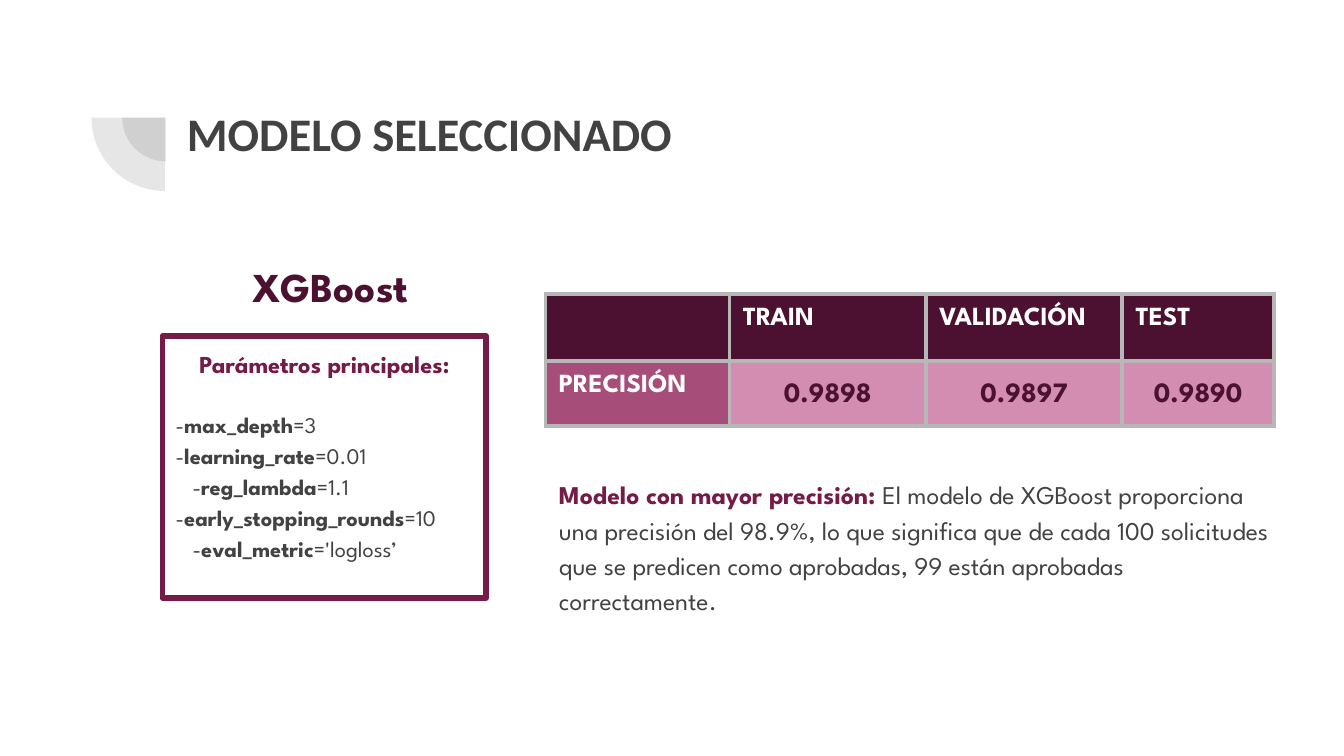
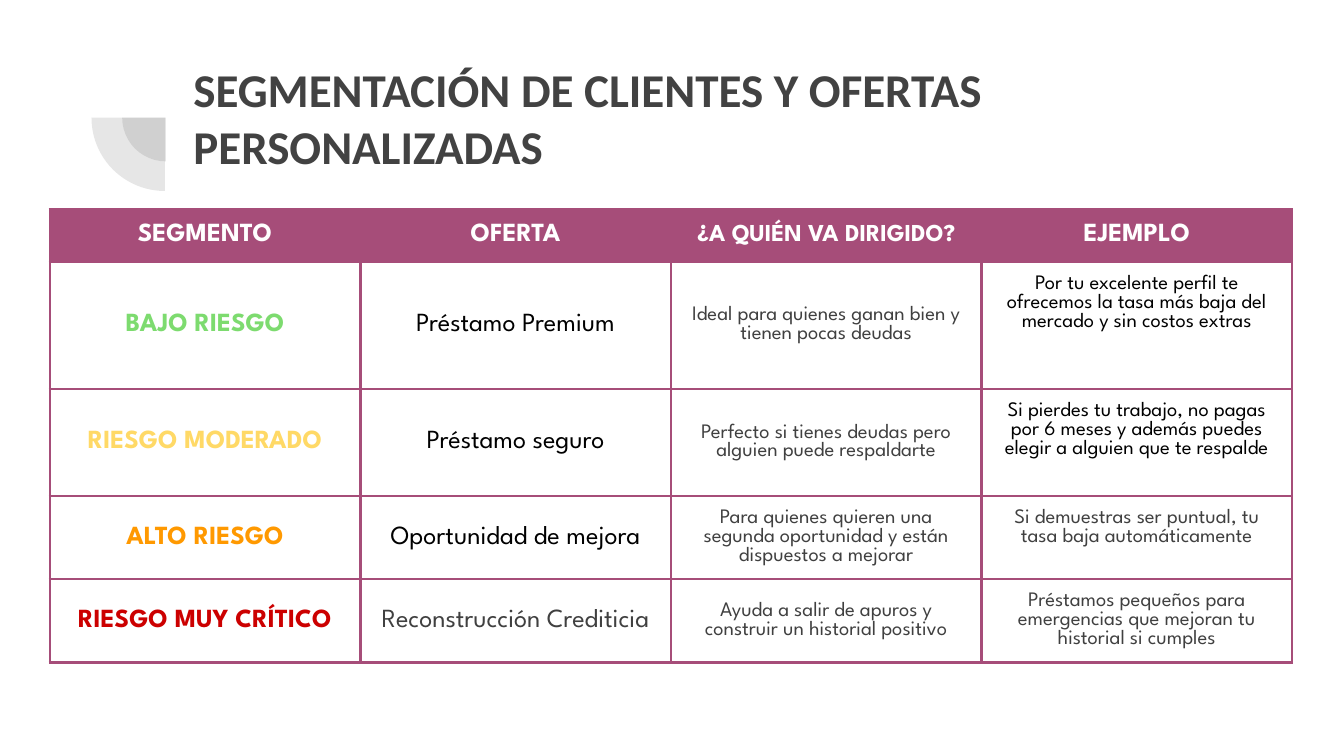
from lxml import etree
from pptx import Presentation
from pptx.dml.color import RGBColor
from pptx.enum.shapes import MSO_SHAPE
from pptx.enum.text import MSO_ANCHOR, MSO_AUTO_SIZE, PP_ALIGN
from pptx.oxml import parse_xml
from pptx.oxml.ns import nsdecls, qn
from pptx.util import Cm, Pt

PIE, RECT = MSO_SHAPE.PIE, MSO_SHAPE.RECTANGLE
TOP, MID = MSO_ANCHOR.TOP, MSO_ANCHOR.MIDDLE
LEFT, CENTER = PP_ALIGN.LEFT, PP_ALIGN.CENTER
FIXED = MSO_AUTO_SIZE.NONE

GRAY = RGBColor(0x42, 0x42, 0x42)
SOFT = RGBColor(0x40, 0x40, 0x40)
BLACK = RGBColor(0, 0, 0)
WHITE = RGBColor(255, 255, 255)
WINE = RGBColor(0x4C, 0x11, 0x30)
PLUM = RGBColor(0x74, 0x1B, 0x47)
MAUVE = RGBColor(0xA6, 0x4D, 0x79)
PINK = RGBColor(0xD2, 0x8D, 0xB1)
SILVER = RGBColor(0xB7, 0xB7, 0xB7)
GREEN = RGBColor(0x7D, 0xDB, 0x6F)
YELLOW = RGBColor(0xFF, 0xD9, 0x66)
ORANGE = RGBColor(0xFF, 0x99, 0x00)
RED = RGBColor(0xCC, 0, 0)
HEAD, BODY = "Calibri", "League Spartan"
PAD = Cm(0.25)


def write(par, text, size, color, bold=False, face=BODY):
    run = par.add_run()
    run.text = text
    run.font.name, run.font.size, run.font.bold = face, Pt(size), bold
    run.font.color.rgb = color


def fill_cell(cell, text, size, color, bold, fill, edge, width,
              anchor=MID, align=CENTER, pitch=1.0):
    cell.margin_left = cell.margin_right = PAD
    cell.margin_top = cell.margin_bottom = PAD
    cell.vertical_anchor = anchor
    if fill is None:
        cell.fill.background()
    else:
        cell.fill.solid()
        cell.fill.fore_color.rgb = fill
    par = cell.text_frame.paragraphs[0]
    par.alignment, par.line_spacing = align, pitch
    if text:
        write(par, text, size, color, bold)
    props = cell._tc.get_or_add_tcPr()
    for i, side in enumerate("LRTB"):
        props.insert(i, parse_xml(
            f'<a:ln{side} {nsdecls("a")} w="{Pt(width)}"><a:solidFill>'
            f'<a:srgbClr val="{edge}"/></a:solidFill></a:ln{side}>'))


prs = Presentation()
prs.slide_width, prs.slide_height = Cm(25.4), Cm(14.29)
model = prs.slides.add_slide(prs.slide_layouts[1])
offers = prs.slides.add_slide(prs.slide_layouts[5])

# Quarter rings on the master
for x, y, size in ((2.31, 1.4, 1.65), (1.73, 0.84, 2.77)):
    pie = model.shapes.add_shape(PIE, Cm(x), Cm(y), Cm(size), Cm(size))
    pie.adjustments[0], pie.adjustments[1] = 108, 162
    pie.rotation = 270
    pie.shadow.inherit = False
    pie.line.fill.background()
    pie.fill.solid()
    pie.fill.fore_color.rgb = GRAY
    tint = pie.element.spPr.find(".//" + qn("a:srgbClr"))
    etree.SubElement(tint, qn("a:alpha")).set("val", "13000")
    prs.slide_master.shapes.element.append(pie.element)

# Titles
for slide, text, size, x, y, w, h in (
        (model, "MODELO SELECCIONADO", 25, 3.28, 1.85, 21.44, 1.83),
        (offers, "SEGMENTACIÓN DE CLIENTES Y OFERTAS PERSONALIZADAS",
         25.2, 3.4, 1.02, 19.96, 2.39)):
    title = slide.shapes.title
    title.left, title.top, title.width, title.height = Cm(x), Cm(y), Cm(w), Cm(h)
    frame = title.text_frame
    frame.auto_size, frame.vertical_anchor = FIXED, TOP
    frame.paragraphs[0].alignment = LEFT
    write(frame.paragraphs[0], text, size, GRAY, True, HEAD)

# Model: finding
note = model.placeholders[1]
note.left, note.top, note.width, note.height = Cm(10.31), Cm(8.84), Cm(14.05), Cm(4.17)
note.text_frame.auto_size = FIXED
par = note.text_frame.paragraphs[0]
props = par._p.get_or_add_pPr()
props.set("marL", "0")
props.set("indent", "0")
etree.SubElement(props, qn("a:buNone"))
par.line_spacing, par.space_before, par.space_after = Pt(19), Pt(0), Pt(12)
write(par, "Modelo con mayor precisión: ", 13.7, PLUM, True)
write(par, "El modelo de XGBoost proporciona una precisión del 98.9%, lo que "
      "significa que de cada 100 solicitudes que se predicen como aprobadas, "
      "99 están aprobadas correctamente", 13.7, GRAY)
write(par, ".", 14, GRAY)

# Model: name and parameter box
name = model.shapes.add_textbox(Cm(3.28), Cm(4.7), Cm(5.92), Cm(1.4))
box = model.shapes.add_shape(RECT, Cm(3.07), Cm(6.35), Cm(6.12), Cm(4.95))
box.shadow.inherit = False
box.fill.background()
box.line.color.rgb, box.line.width = PLUM, Pt(3)
for shape, text, size, color, pitch in (
        (name, "XGBoost", 22, WINE, 26.4),
        (box, "Parámetros principales:", 13, PLUM, 15.6)):
    frame = shape.text_frame
    frame.word_wrap, frame.vertical_anchor = True, TOP
    frame.margin_left = frame.margin_right = PAD
    frame.margin_top = frame.margin_bottom = PAD
    par = frame.paragraphs[0]
    par.alignment, par.line_spacing = CENTER, Pt(pitch)
    write(par, text, size, color, True)
par.space_after = Pt(15.6)

for key, value, inset in (
        ("max_depth", "=3", 0), ("learning_rate", "=0.01", 0),
        ("reg_lambda", "=1.1", 0.32), ("early_stopping_rounds", "=10", 0),
        ("eval_metric", "='logloss’", 0.32)):
    par = box.text_frame.add_paragraph()
    par.alignment, par.line_spacing = LEFT, Pt(16.6)
    par._p.get_or_add_pPr().set("marL", str(Cm(inset)))
    write(par, "-", 12, GRAY)
    write(par, key, 12, GRAY, True)
    write(par, value, 12, GRAY)

# Tables
grids = []
for slide, x, y, cols, rows in (
        (model, 10.31, 5.56, (3.48, 3.71, 3.71, 2.87), (1.19, 1.07)),
        (offers, 0.94, 3.96, (5.87,) * 4, (0.99, 2.4, 2.03, 1.57, 1.57))):
    grid = slide.shapes.add_table(len(rows), len(cols), Cm(x), Cm(y),
                                  Cm(sum(cols)), Cm(sum(rows))).table
    grid.first_row = grid.horz_banding = False
    for col, width in zip(grid.columns, cols):
        col.width = Cm(width)
    for row, height in zip(grid.rows, rows):
        row.height = Cm(height)
    grids.append(grid)
scores, plan = grids

# Model: scores
for c, text in enumerate(("", "TRAIN", "VALIDACIÓN", "TEST")):
    fill_cell(scores.cell(0, c), text, 14, WHITE, True, WINE, SILVER, 2.25, TOP, LEFT)
fill_cell(scores.cell(1, 0), "PRECISIÓN", 14, WHITE, True, MAUVE, SILVER, 2.25, TOP, LEFT)
for c, text in enumerate(("0.9898", "0.9897", "0.9890"), 1):
    fill_cell(scores.cell(1, c), text, 15, WINE, True, PINK, SILVER, 2.25, pitch=1.15)

# Offers: header and segments
heads = ("SEGMENTO", 14), ("OFERTA", 14), ("¿A QUIÉN VA DIRIGIDO?", 13), ("EJEMPLO", 14)
for c, (text, size) in enumerate(heads):
    fill_cell(plan.cell(0, c), text, size, WHITE, True, MAUVE, MAUVE, 1.5)

parts = (
    ("BAJO RIESGO", GREEN, "Préstamo Premium", BLACK,
     "Ideal para quienes ganan bien y tienen pocas deudas",
     "Por tu excelente perfil te ofrecemos la tasa más baja del mercado y sin "
     "costos extras", BLACK),
    ("RIESGO MODERADO", YELLOW, "Préstamo seguro", BLACK,
     "Perfecto si tienes deudas pero alguien puede respaldarte",
     "Si pierdes tu trabajo, no pagas por 6 meses y además puedes elegir a "
     "alguien que te respalde", BLACK),
    ("ALTO RIESGO", ORANGE, "Oportunidad de mejora", BLACK,
     "Para quienes quieren una segunda oportunidad y están dispuestos a mejorar",
     "Si demuestras ser puntual, tu tasa baja automáticamente", SOFT),
    ("RIESGO MUY CRÍTICO", RED, "Reconstrucción Crediticia", SOFT,
     "Ayuda a salir de apuros y construir un historial positivo",
     "Préstamos pequeños para emergencias que mejoran tu historial si cumples",
     SOFT),
)
for r, (risk, hue, offer, ink, target, sample, tone) in enumerate(parts, 1):
    for c, (text, size, color, bold, anchor) in enumerate((
            (risk, 14, hue, True, MID), (offer, 14, ink, False, MID),
            (target, 11, SOFT, False, MID), (sample, 11, tone, False, TOP))):
        fill_cell(plan.cell(r, c), text, size, color, bold, None, MAUVE, 1.5, anchor)

prs.save("out.pptx")
